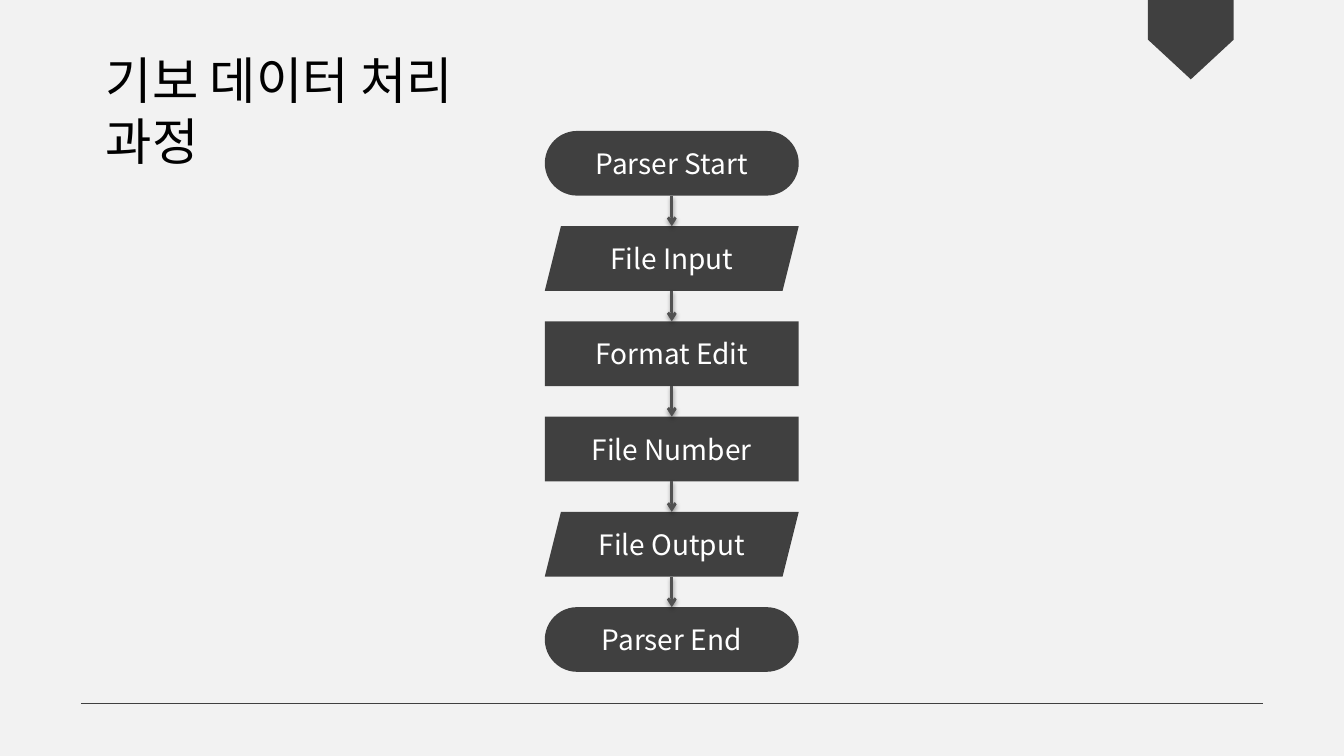
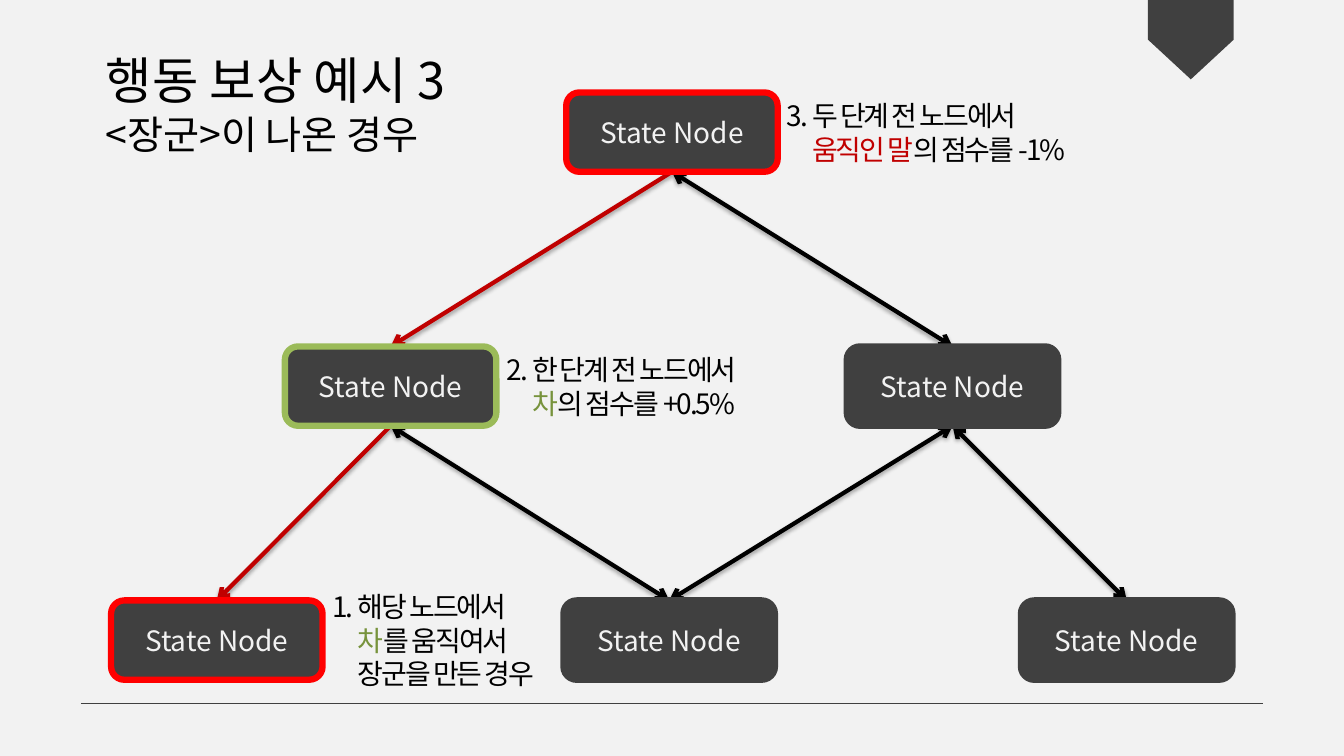
from lxml import etree
from pptx import Presentation
from pptx import util as u
from pptx.dml.color import RGBColor
from pptx.enum import shapes, text
from pptx.oxml.ns import qn

FONT = "Noto Sans CJK KR"
PAPER, DARK, ARROW = "F2F2F2", "404040", "525252"
BLACK, WHITE = "000000", "FFFFFF"
RED, CRIMSON, LIME, GREEN = "FF0000", "C00000", "9BBB59", "77933C"
SHAPE = shapes.MSO_SHAPE
SLIDE_W, SLIDE_H = 33.87, 19.05

FLOW_TITLE = [("기보 데이터 처리 과정", 36)]
FLOW_STEPS = [
    ("Parser Start", SHAPE.ROUNDED_RECTANGLE),
    ("File Input", SHAPE.PARALLELOGRAM),
    ("Format Edit", SHAPE.RECTANGLE),
    ("File Number", SHAPE.RECTANGLE),
    ("File Output", SHAPE.PARALLELOGRAM),
    ("Parser End", SHAPE.ROUNDED_RECTANGLE),
]
STEP_W, STEP_H, STEP_TOP, STEP_PITCH = 6.4, 1.63, 3.3, 2.4
FLOW_SHADOW = (38, 1.6)

TREE_TITLE = [("행동 보상 예시 3", 36), ("<장군>이 나온 경우", 28)]
NODE_TEXT = "State Node"
NODES = {
    "root": (14.27, 0, RED),
    "left": (7.18, 1, LIME),
    "right": (21.34, 1, DARK),
    "leaf_mid": (14.2, 2, DARK),
    "leaf_left": (2.8, 2, RED),
    "leaf_right": (25.73, 2, DARK),
}
EDGES = [
    ("root", "right", BLACK),
    ("left", "leaf_mid", BLACK),
    ("right", "leaf_mid", BLACK),
    ("right", "leaf_right", BLACK),
    ("root", "left", CRIMSON),
    ("left", "leaf_left", CRIMSON),
]
NODE_W, NODE_H, NODE_TOP, LEVEL_PITCH = 5.33, 2, 2.33, 6.4
TREE_SHADOW = (35, 1.8)
NOTES = [
    (8.13, 14.73, 6.07, [
        [("1. 해당 노드에서", BLACK)],
        [("차", GREEN), ("를 움직여서", BLACK)],
        [("장군을 만든 경우", BLACK)],
    ]),
    (12.52, 8.76, 8, [
        [("2. 한 단계 전 노드에서", BLACK)],
        [("차", GREEN), ("의 점수를 +0.5%", BLACK)],
    ]),
    (19.58, 2.36, 9, [
        [("3. 두 단계 전 노드에서", BLACK)],
        [("움직인 말", CRIMSON), ("의 점수를 -1%", BLACK)],
    ]),
]
NOTE_INDENT = 0.64


def rgb(value):
    return RGBColor.from_string(value)


def cm(*values):
    return [u.Cm(round(v, 2)) for v in values]


def style(p, size, color, align=text.PP_ALIGN.LEFT):
    p.alignment = align
    f = p.font
    f.size, f.name = u.Pt(size), FONT
    f.color.rgb = rgb(color)
    etree.SubElement(f._element, qn("a:ea"), typeface=FONT)


def add_box(s, kind, place, label="", color=WHITE, border=None):
    sp = s.shapes.add_shape(kind, *cm(*place))
    sp.shadow.inherit = False
    sp.fill.solid()
    sp.fill.fore_color.rgb = rgb(DARK)
    if border:
        sp.line.color.rgb = rgb(border)
        sp.line.width = u.Pt(4.5)
    else:
        sp.line.fill.background()
    if label:
        tf = sp.text_frame
        tf.vertical_anchor = text.MSO_ANCHOR.MIDDLE
        p = tf.paragraphs[0]
        p.text = label
        style(p, 20, color, text.PP_ALIGN.CENTER)
    return sp


def add_line(s, ends, color, width, arrows=(), shadow=None):
    line = s.shapes.add_connector(shapes.MSO_CONNECTOR.STRAIGHT, *cm(*ends))
    line.line.color.rgb = rgb(color)
    line.line.width = u.Pt(width)
    ln = line.line._get_or_add_ln()
    for end in arrows:
        etree.SubElement(ln, qn("a:" + end), type="arrow")
    effects = etree.SubElement(line._element.spPr, qn("a:effectLst"))
    if shadow:
        alpha, distance = shadow
        outer = etree.SubElement(
            effects, qn("a:outerShdw"), blurRad=str(u.Pt(3.1)),
            dist=str(u.Pt(distance)), dir="5400000", rotWithShape="0")
        clr = etree.SubElement(outer, qn("a:srgbClr"), val=BLACK)
        etree.SubElement(clr, qn("a:alpha"), val=str(alpha * 1000))
    return line


def add_slide(prs, title):
    s = prs.slides.add_slide(prs.slide_layouts[5])
    sp = s.shapes.title
    sp.left, sp.top, sp.width, sp.height = cm(2.41, 1.12, 11.8, 1.8 if len(title) == 1 else 3)
    tf = sp.text_frame
    tf.word_wrap = True
    tf.auto_size = text.MSO_AUTO_SIZE.NONE
    tf.vertical_anchor = text.MSO_ANCHOR.TOP
    for i, (words, size) in enumerate(title):
        p = tf.add_paragraph() if i else tf.paragraphs[0]
        p.text = words
        style(p, size, BLACK)
    ribbon = add_box(s, SHAPE.PENTAGON, (29.01, -0.08, 2, 2.16))
    ribbon.rotation = 90
    add_line(s, (2.04, 17.72, 31.83, 17.72), DARK, 0.75)
    return s


def add_note(s, left, top, width, lines):
    box = s.shapes.add_textbox(*cm(left, top, width, 0.25 + 0.85 * len(lines)))
    tf = box.text_frame
    tf.word_wrap = True
    for i, runs in enumerate(lines):
        p = tf.add_paragraph() if i else tf.paragraphs[0]
        pPr = p._p.get_or_add_pPr()
        pPr.set("marL", str(u.Cm(NOTE_INDENT)))
        pPr.set("indent", str(0 if i else -u.Cm(NOTE_INDENT)))
        style(p, 20, BLACK)
        p.font._element.set("spc", "-150")
        for words, color in runs:
            r = p.add_run()
            r.text = words
            if color != BLACK:
                r.font.color.rgb = rgb(color)


def build_flow(prs):
    s = add_slide(prs, FLOW_TITLE)
    center = SLIDE_W / 2
    for i, (label, kind) in enumerate(FLOW_STEPS):
        top = STEP_TOP + i * STEP_PITCH
        sp = add_box(s, kind, (center - STEP_W / 2, top, STEP_W, STEP_H), label)
        if kind == SHAPE.ROUNDED_RECTANGLE:
            sp.adjustments[0] = 0.5
        if i:
            add_line(s, (center, top - STEP_PITCH + STEP_H, center, top),
                     ARROW, 2, ["tailEnd"], FLOW_SHADOW)


def build_tree(prs):
    s = add_slide(prs, TREE_TITLE)
    for note in NOTES:
        add_note(s, *note)
    boxes = {}
    for name, (left, level, border) in NODES.items():
        place = (left, NODE_TOP + level * LEVEL_PITCH, NODE_W, NODE_H)
        boxes[name] = add_box(s, SHAPE.ROUNDED_RECTANGLE, place, NODE_TEXT, PAPER, border)
    for parent, child, color in EDGES:
        arrows = ["headEnd", "tailEnd"] if color == BLACK else ["tailEnd"]
        line = add_line(s, (0, 0, 1, 1), color, 3, arrows, TREE_SHADOW)
        line.begin_connect(boxes[parent], 2)
        line.end_connect(boxes[child], 0)
        boxes["root"]._element.addprevious(line._element)


def main():
    prs = Presentation()
    prs.slide_width, prs.slide_height = cm(SLIDE_W, SLIDE_H)
    fill = prs.slide_master.background.fill
    fill.solid()
    fill.fore_color.rgb = rgb(PAPER)
    build_flow(prs)
    build_tree(prs)
    prs.save("out.pptx")


if __name__ == "__main__":
    main()
